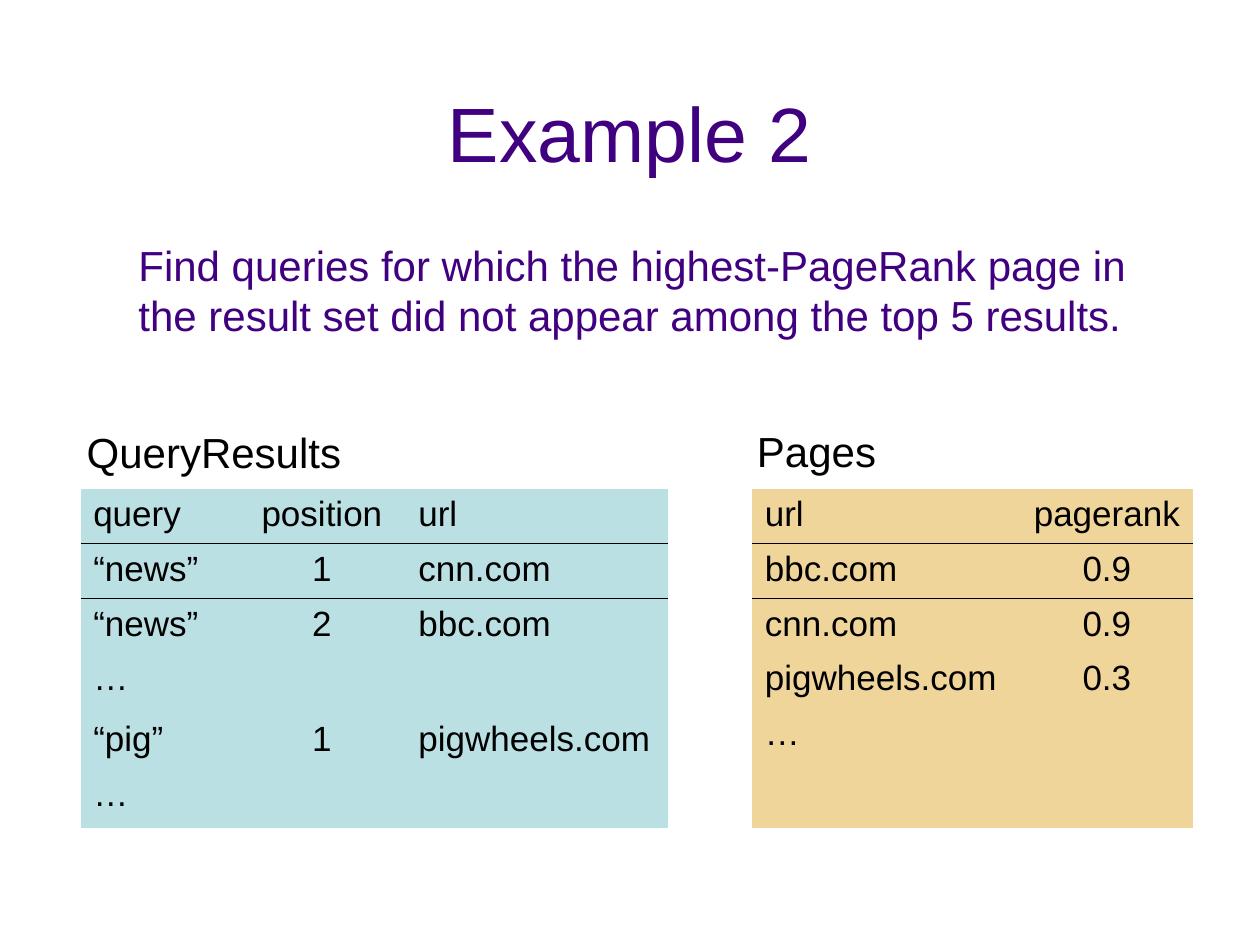
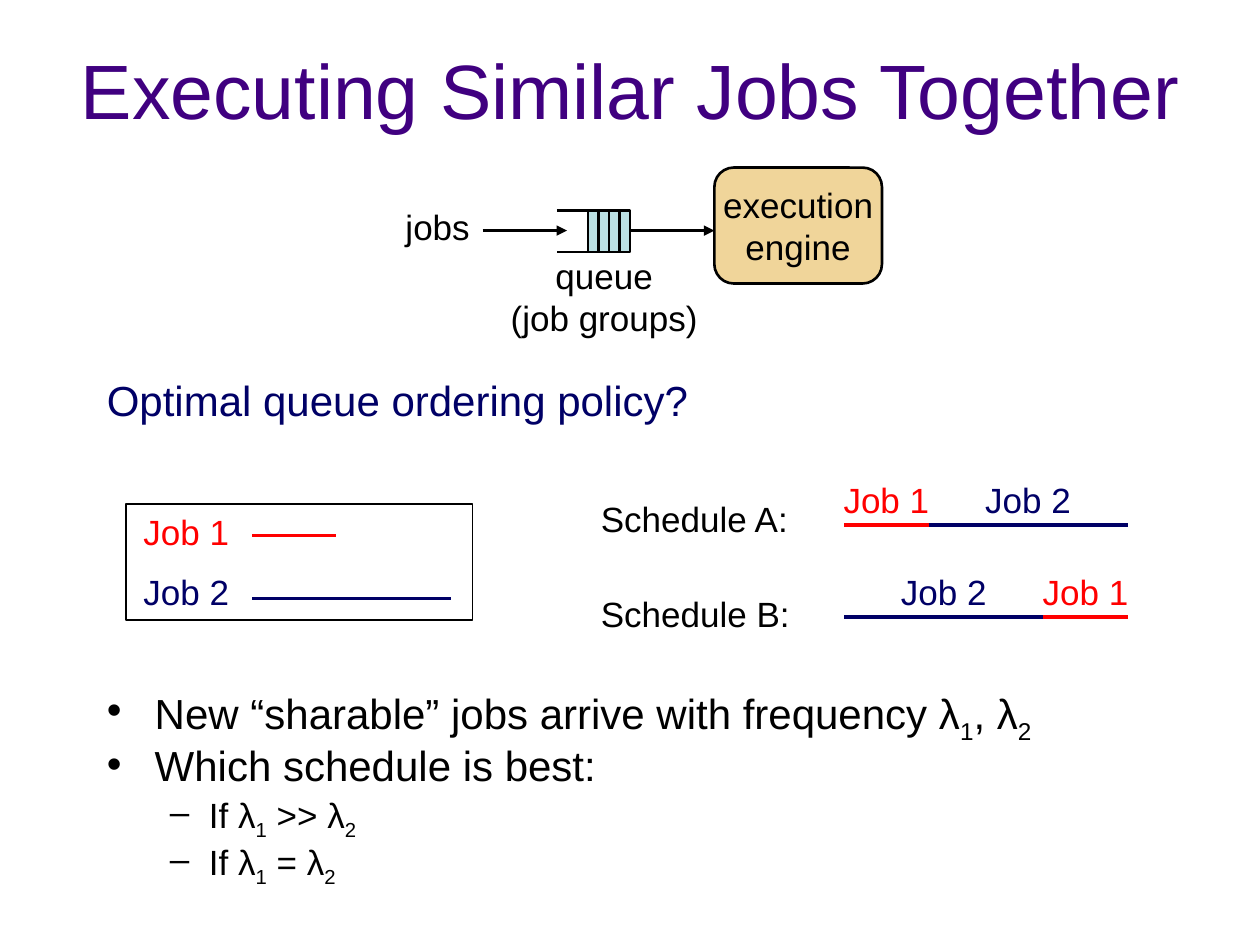
from dataclasses import dataclass

from lxml import etree
from pptx import Presentation
from pptx.dml.color import RGBColor
from pptx.enum.shapes import MSO_CONNECTOR, MSO_SHAPE
from pptx.enum.text import MSO_ANCHOR, PP_ALIGN
from pptx.oxml.ns import qn
from pptx.util import Inches, Pt

LEFT, CENTER = PP_ALIGN.LEFT, PP_ALIGN.CENTER
TOP, MIDDLE = MSO_ANCHOR.TOP, MSO_ANCHOR.MIDDLE
RECTANGLE, ROUNDED = MSO_SHAPE.RECTANGLE, MSO_SHAPE.ROUNDED_RECTANGLE
STRAIGHT = MSO_CONNECTOR.STRAIGHT
BLANK_LAYOUT = 6
PLAIN_TABLE_STYLE = "{2D5ABB26-0587-4C30-8999-92F81FD0307C}"


@dataclass(frozen=True)
class Theme:
    font: str = "Arial"
    purple: str = "400080"
    navy: str = "000066"
    red: str = "FF0000"
    black: str = "000000"
    aqua: str = "BBE0E3"
    sand: str = "F0D59A"
    title: int = 44
    body: int = 24
    label: int = 20


THEME = Theme()


def rgb(color):
    return RGBColor.from_string(color)


def add_element(parent, tag, **attributes):
    element = etree.SubElement(parent, qn(tag))
    for name, value in attributes.items():
        element.set(name, str(value))
    return element


class SlideBuilder:
    def __init__(self, deck, theme):
        self.deck, self.theme = deck, theme
        self.page = None

    def new_page(self, title, left, top, width):
        self.page = self.deck.slides.add_slide(self.deck.slide_layouts[BLANK_LAYOUT])
        self.text([title], left, top, width, 1.25, self.theme.title,
                  self.theme.purple, CENTER, anchor=MIDDLE)

    def add_spans(self, para, text, size, color):
        """Add the text run by run; parts between bars are subscripts."""
        for number, part in enumerate(text.split("|")):
            if not part:
                continue
            span = para.add_run()
            span.text = part
            span.font.name = self.theme.font
            span.font.size = Pt(size)
            span.font.color.rgb = rgb(color)
            if number % 2:
                span._r.get_or_add_rPr().set("baseline", "-25000")

    def fill_frame(self, frame, lines, size, color, align):
        for number, line in enumerate(lines):
            para = frame.add_paragraph() if number else frame.paragraphs[0]
            para.alignment = align
            self.add_spans(para, line, size, color)

    def text(self, lines, left, top, width, height, size, color,
             align=LEFT, anchor=TOP, spacing=1.0):
        box = self.page.shapes.add_textbox(
            Inches(left), Inches(top), Inches(width), Inches(height))
        frame = box.text_frame
        frame.word_wrap = True
        frame.vertical_anchor = anchor
        self.fill_frame(frame, lines, size, color, align)
        for para in frame.paragraphs:
            para.line_spacing = spacing

    def label(self, text, left, top, width, color=THEME.black, align=LEFT):
        self.text([text], left, top, width, 0.44, self.theme.label, color, align)

    def bullets(self, items, left, top, width, height):
        """Add (level, text) items as a two-level list."""
        styles = (("•", 0.38, 0.38, self.theme.body, 6),
                  ("–", 0.81, 0.31, self.theme.label, 5))
        box = self.page.shapes.add_textbox(
            Inches(left), Inches(top), Inches(width), Inches(height))
        frame = box.text_frame
        frame.word_wrap = True
        for number, (level, text) in enumerate(items):
            mark, indent, hanging, size, before = styles[level]
            para = frame.add_paragraph() if number else frame.paragraphs[0]
            para.level = level
            props = para._p.get_or_add_pPr()
            props.set("marL", str(Inches(indent)))
            props.set("indent", str(-Inches(hanging)))
            mark_color = add_element(props, "a:buClr")
            add_element(mark_color, "a:srgbClr", val=self.theme.black)
            add_element(props, "a:buFont", typeface=self.theme.font)
            add_element(props, "a:buChar", char=mark)
            para.line_spacing = 0.8
            if number:
                para.space_before = Pt(before)
            self.add_spans(para, text, size, self.theme.black)

    def shape(self, kind, left, top, width, height, fill=None, weight=1.5, lines=()):
        shape = self.page.shapes.add_shape(
            kind, Inches(left), Inches(top), Inches(width), Inches(height))
        shape.shadow.inherit = False
        if fill:
            shape.fill.solid()
            shape.fill.fore_color.rgb = rgb(fill)
        else:
            shape.fill.background()
        shape.line.color.rgb = rgb(self.theme.black)
        shape.line.width = Pt(weight)
        if lines:
            shape.text_frame.word_wrap = False
            shape.text_frame.vertical_anchor = MIDDLE
            self.fill_frame(shape.text_frame, lines, self.theme.label,
                            self.theme.black, CENTER)

    def line(self, start, end, color=THEME.black, weight=1.5, arrow=False):
        line = self.page.shapes.add_connector(
            STRAIGHT, *(Inches(value) for value in (*start, *end)))
        line.line.color.rgb = rgb(color)
        line.line.width = Pt(weight)
        props = line._element.spPr
        if arrow:
            add_element(props.find(qn("a:ln")), "a:tailEnd", type="triangle")
        add_element(props, "a:effectLst")

    def cell_border(self, cell, tag):
        border = etree.Element(qn(tag), w=str(Pt(0.75)))
        paint = add_element(border, "a:solidFill")
        add_element(paint, "a:srgbClr", val=self.theme.black)
        cell._tc.get_or_add_tcPr().insert(0, border)

    def table(self, rows, left, top, widths, heights, fill, centered):
        """Add a plain filled table with one rule under its header row."""
        table = self.page.shapes.add_table(
            len(rows), len(widths), Inches(left), Inches(top),
            Inches(sum(widths)), Inches(sum(heights))).table
        table.first_row = table.horz_banding = False
        table._tbl.tblPr.find(qn("a:tableStyleId")).text = PLAIN_TABLE_STYLE
        for column, width in zip(table.columns, widths):
            column.width = Inches(width)
        for row, height in zip(table.rows, heights):
            row.height = Inches(height)
        rule_sides = {0: "a:lnB", 1: "a:lnT"}
        for row_number, values in enumerate(rows):
            for column_number, value in enumerate(values):
                cell = table.cell(row_number, column_number)
                cell.fill.solid()
                cell.fill.fore_color.rgb = rgb(fill)
                align = CENTER if column_number == centered else LEFT
                self.fill_frame(cell.text_frame, [value], self.theme.label,
                                self.theme.black, align)
                if row_number in rule_sides:
                    self.cell_border(cell, rule_sides[row_number])


def build_example(builder):
    theme = builder.theme
    builder.new_page("Example 2", 0.75, 0.42, 8.5)
    builder.text(["Find queries for which the highest-PageRank page in the result set "
                  "did not appear among the top 5 results."],
                 1, 1.85, 8.08, 0.9, theme.body, theme.purple)
    builder.text(["QueryResults"], 0.59, 3.38, 2.4, 0.46, theme.body, theme.black,
                 spacing=0.9)
    builder.text(["Pages"], 5.91, 3.33, 1.3, 0.5, theme.body, theme.black)

    query_results = [
        ("query", "position", "url"),
        ("“news”", "1", "cnn.com"),
        ("“news”", "2", "bbc.com"),
        ("…", "", ""),
        ("“pig”", "1", "pigwheels.com"),
        ("…", "", ""),
    ]
    pages = [
        ("url", "pagerank"),
        ("bbc.com", "0.9"),
        ("cnn.com", "0.9"),
        ("pigwheels.com", "0.3"),
        ("…", ""),
        ("", ""),
    ]
    row, tall_row = 0.43, 0.48
    builder.table(query_results, 0.64, 3.88, (1.25, 1.33, 2.08),
                  [row, row, row, tall_row, row, tall_row], theme.aqua, centered=1)
    builder.table(pages, 5.97, 3.88, (2.13, 1.37), [row] * 5 + [0.52],
                  theme.sand, centered=1)


def draw_queue(builder):
    theme = builder.theme
    left, right, top, bottom = 4.42, 5, 1.67, 2
    slot_count, slot_width = 4, 1 / 12
    for slot in range(slot_count):
        builder.shape(RECTANGLE, right - (slot_count - slot) * slot_width, top,
                      slot_width, bottom - top, theme.aqua)
    outline = [(left, top), (right, top), (right, bottom), (left, bottom)]
    for start, end in zip(outline, outline[1:]):
        builder.line(start, end)
    for start, end in ((3.83, 4.5), (right, 5.67)):
        builder.line((start, 1.83), (end, 1.83), arrow=True)
    builder.shape(ROUNDED, 5.67, 1.33, 1.33, 0.92, theme.sand,
                  lines=("execution", "engine"))
    builder.label("jobs", 3.12, 1.58, 0.8)
    builder.text(["queue", "(job groups)"], 3.92, 1.97, 1.75, 0.77,
                 theme.label, theme.black, CENTER)


def draw_schedules(builder):
    theme = builder.theme
    job_1 = ("Job 1", 0.67, theme.red)
    job_2 = ("Job 2", 1.58, theme.navy)
    label_width, weight = 1, 2.25

    builder.shape(RECTANGLE, 1, 4, 2.75, 0.92, weight=1)
    for (name, length, color), label_top, y in ((job_1, 4, 4.25), (job_2, 4.48, 4.75)):
        builder.label(name, 1.04, label_top, label_width, color)
        builder.line((2, y), (2 + length, y), color, weight)

    schedules = (("Schedule A:", 3.9, 4.17, (job_1, job_2)),
                 ("Schedule B:", 4.65, 4.9, (job_2, job_1)))
    for caption, caption_top, y, jobs in schedules:
        builder.label(caption, 4.67, caption_top, 1.8)
        x = 6.7
        for name, length, color in jobs:
            builder.line((x, y), (x + length, y), color, weight)
            builder.label(name, x + (length - label_width) / 2, y - 0.42,
                          label_width, color, CENTER)
            x += length


def build_similar_jobs(builder):
    theme = builder.theme
    builder.new_page("Executing Similar Jobs Together", 0.17, 0.08, 9.67)
    draw_queue(builder)
    builder.text(["Optimal queue ordering policy?"], 0.75, 3, 8.5, 0.5,
                 theme.body, theme.navy, spacing=0.8)
    draw_schedules(builder)
    builder.bullets([
        (0, "New “sharable” jobs arrive with frequency λ|1|, λ|2"),
        (0, "Which schedule is best:"),
        (1, "If λ|1| >> λ|2"),
        (1, "If λ|1| = λ|2"),
    ], 0.75, 5.45, 8.5, 1.75)


def main():
    deck = Presentation()
    deck.slide_width, deck.slide_height = Inches(10), Inches(7.5)
    builder = SlideBuilder(deck, THEME)
    build_example(builder)
    build_similar_jobs(builder)
    deck.save("out.pptx")


if __name__ == "__main__":
    main()
